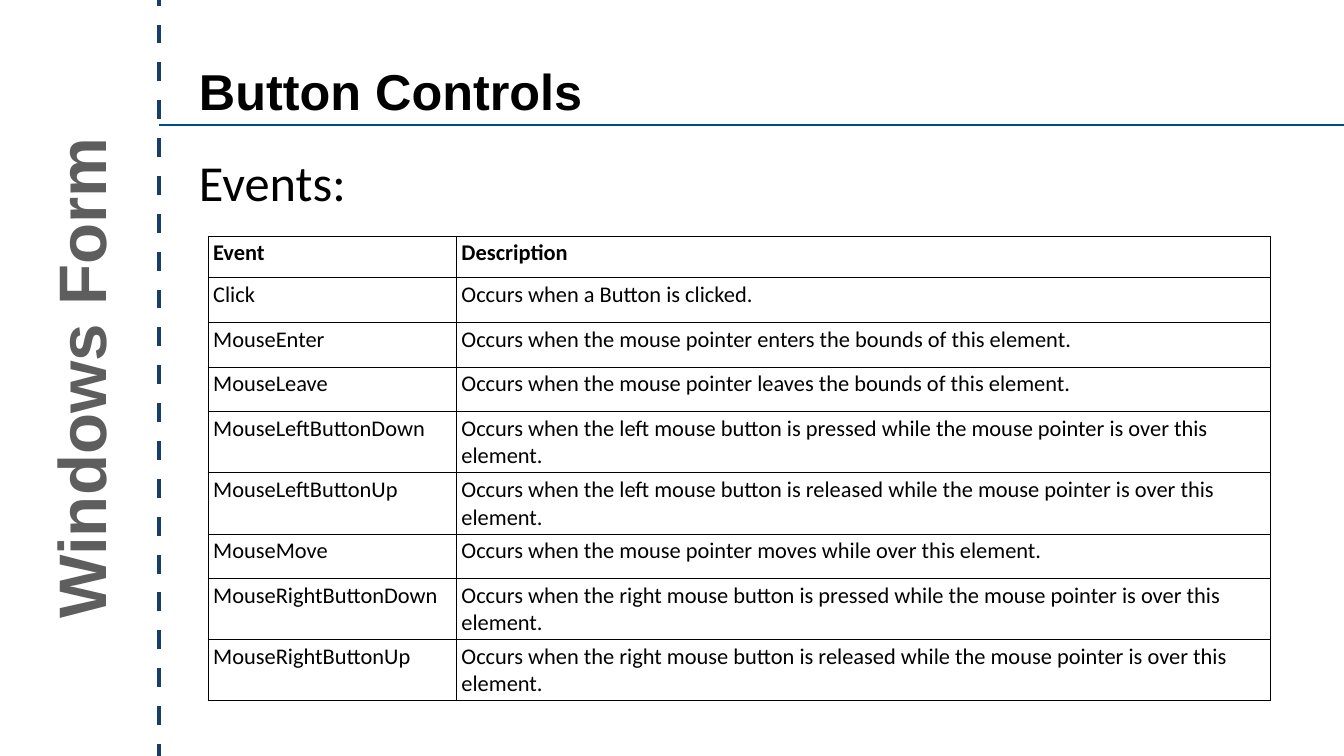
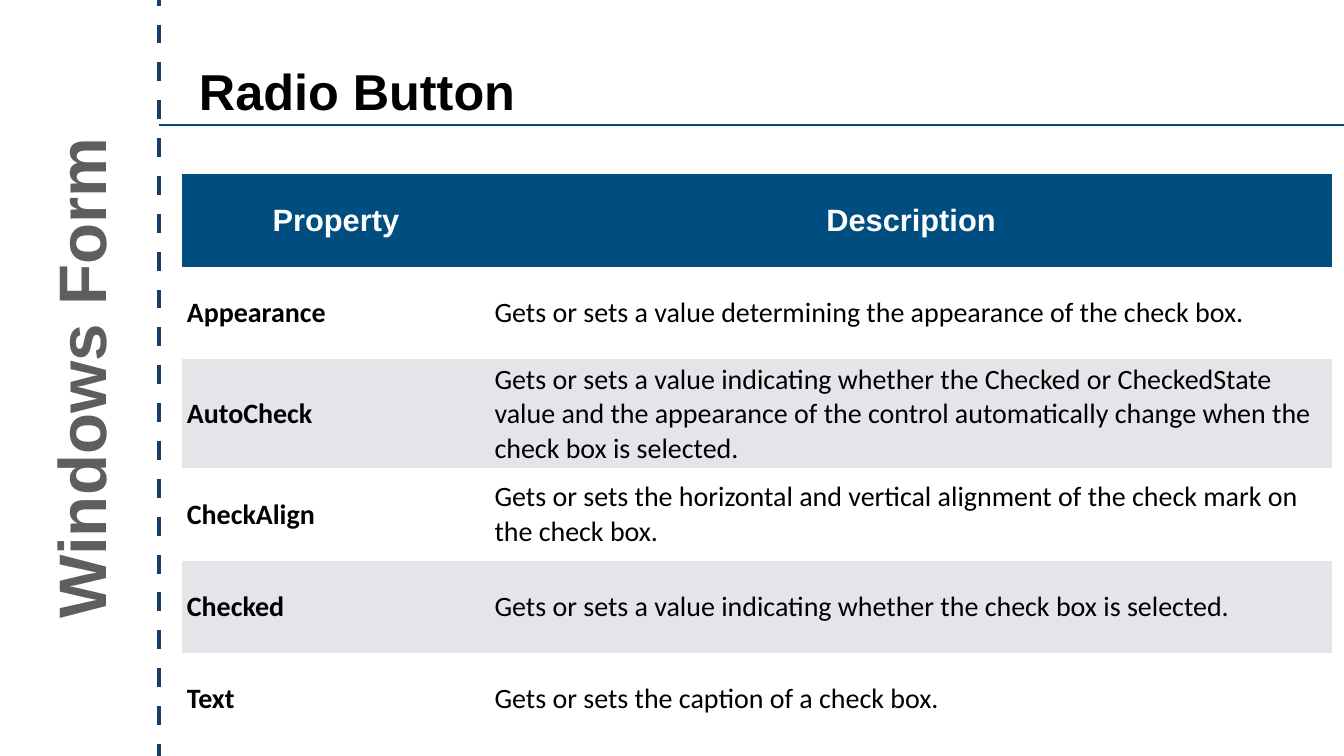
"""Build two slides on Windows Form controls, each with a title and a table."""
import pptx
import pptx.dml.color
import pptx.enum.shapes
import pptx.enum.text
import pptx.oxml
import pptx.oxml.ns
import pptx.util

ANCHOR = pptx.enum.text.MSO_ANCHOR
ALIGN = pptx.enum.text.PP_ALIGN

EMU_PER_PX = 9525
SLIDE_SIZE = (2560, 1440)
NAVY, BLUE, GRAY, BLACK, WHITE, PALE = "183E67", "004D80", "5E5E5E", "000000", "FFFFFF", "E3E5E8"
NO_STYLE = "{2D5ABB26-0587-4C30-8999-92F81FD0307C}"
DRAWING = pptx.oxml.ns.nsdecls("a")

SIDE_TEXT = "Windows Form"
SIDE_BOX = (-319, 635, 941, 170)
DIVIDER_X, RULE_Y, OVERHANG = 303, 238, 13
HEADING_LEFT, HEADING_HEIGHT = 369, 126
TITLE_TOP, SUBTITLE_TOP = 109, 283

SIDE_FONT = {"name": "Arial", "size": 96, "bold": True, "color": GRAY}
TITLE_FONT = {"name": "Arial", "size": 72, "bold": True, "color": BLACK}
SUBTITLE_FONT = {"name": "Calibri", "size": 72, "bold": False, "color": BLACK}
EVENT_FONT = {"name": "Calibri", "size": 32, "bold": False, "color": BLACK}
PROPERTY_FONT = {"name": "Calibri", "size": 40, "bold": False, "color": BLACK}
PROPERTY_HEADER_FONT = {"name": "Arial", "size": 44, "bold": True, "color": WHITE}

DEFAULT_INSETS = (10, 5, 10, 5)

EVENTS = [
    ("Event", "Description"),
    ("Click", "Occurs when a Button is clicked."),
    ("MouseEnter", "Occurs when the mouse pointer enters the bounds of this element."),
    ("MouseLeave", "Occurs when the mouse pointer leaves the bounds of this element."),
    ("MouseLeftButtonDown", "Occurs when the left mouse button is pressed while the mouse pointer is over this element."),
    ("MouseLeftButtonUp", "Occurs when the left mouse button is released while the mouse pointer is over this element."),
    ("MouseMove", "Occurs when the mouse pointer moves while over this element."),
    ("MouseRightButtonDown", "Occurs when the right mouse button is pressed while the mouse pointer is over this element."),
    ("MouseRightButtonUp", "Occurs when the right mouse button is released while the mouse pointer is over this element."),
]
PROPERTIES = [
    ("Property", "Description"),
    ("Appearance", "Gets or sets a value determining the appearance of the check box."),
    ("AutoCheck", "Gets or sets a value indicating whether the Checked or CheckedState value and the appearance "
                  "of the control automatically change when the check box is selected."),
    ("CheckAlign", "Gets or sets the horizontal and vertical alignment of the check mark on the check box."),
    ("Checked", "Gets or sets a value indicating whether the check box is selected."),
    ("Text", "Gets or sets the caption of a check box."),
]

EVENT_TABLE = {
    "rows": EVENTS, "at": (396, 451), "columns": (473, 1551), "heights": (78, 85),
    "header_font": EVENT_FONT | {"bold": True}, "body_fonts": (EVENT_FONT, EVENT_FONT),
    "header_align": ALIGN.LEFT, "anchor": ANCHOR.TOP,
    "insets": ((10, 7, 14, 7), (10, 7, 10, 7)), "fills": None, "border": BLACK,
}
PROPERTY_TABLE = {
    "rows": PROPERTIES, "at": (346, 332), "columns": (588, 1603), "heights": (176, 176),
    "header_font": PROPERTY_HEADER_FONT, "body_fonts": (PROPERTY_FONT | {"bold": True}, PROPERTY_FONT),
    "header_align": ALIGN.CENTER, "anchor": ANCHOR.MIDDLE,
    "insets": (DEFAULT_INSETS, (8, 8, 8, 8)), "fills": (BLUE, WHITE, PALE), "border": None,
}
SLIDES = [
    {"title": "Button Controls", "title_width": 757, "subtitle": ("Events:", 306), "table": EVENT_TABLE},
    {"title": "Radio Button", "title_width": 628, "subtitle": None, "table": PROPERTY_TABLE},
]


def px(length):
    return pptx.util.Emu(length * EMU_PER_PX)


def rgb(value):
    return pptx.dml.color.RGBColor.from_string(value)


def set_attributes(target, values):
    for name, value in values.items():
        setattr(target, name, value)


def write_text(frame, text, font, align=ALIGN.LEFT):
    paragraph = frame.paragraphs[0]
    paragraph.alignment = align
    run = paragraph.add_run()
    run.text = text
    set_attributes(run.font, {"name": font["name"], "size": pptx.util.Pt(font["size"]), "bold": font["bold"]})
    run.font.color.rgb = rgb(font["color"])


def set_insets(target, insets):
    sides = ("margin_left", "margin_top", "margin_right", "margin_bottom")
    set_attributes(target, dict(zip(sides, map(px, insets))))


def fill_box(shape, box, text, font, align=ALIGN.LEFT, anchor=ANCHOR.TOP, insets=DEFAULT_INSETS):
    set_attributes(shape, dict(zip(("left", "top", "width", "height"), map(px, box))))
    frame = shape.text_frame
    set_attributes(frame, {"word_wrap": False, "vertical_anchor": anchor,
                           "auto_size": pptx.enum.text.MSO_AUTO_SIZE.SHAPE_TO_FIT_TEXT})
    set_insets(frame, insets)
    write_text(frame, text, font, align)


def add_text(slide, box, *args, **options):
    shape = slide.shapes.add_textbox(*map(px, box))
    fill_box(shape, box, *args, **options)
    return shape


def add_line(slide, start, end, color, width, dashed=False):
    straight = pptx.enum.shapes.MSO_CONNECTOR.STRAIGHT
    connector = slide.shapes.add_connector(straight, *map(px, start + end))
    connector.line.color.rgb = rgb(color)
    connector.line.width = pptx.util.Pt(width)
    if dashed:
        dash = f'<a:custDash {DRAWING}><a:ds d="600000" sp="600000"/></a:custDash>'
        connector.line._get_or_add_ln().append(pptx.oxml.parse_xml(dash))
    connector._element.spPr.append(pptx.oxml.parse_xml(f"<a:effectLst {DRAWING}/>"))


def add_borders(cell, color):
    properties = cell._tc.get_or_add_tcPr()
    for side in "LRTB":
        properties.append(pptx.oxml.parse_xml(
            f'<a:ln{side} {DRAWING} w="12700"><a:solidFill><a:srgbClr val="{color}"/></a:solidFill></a:ln{side}>'))


def format_cell(cell, row, column, text, design):
    header = row == 0
    cell.vertical_anchor = design["anchor"]
    set_insets(cell, DEFAULT_INSETS if header else design["insets"][column])
    if design["border"]:
        add_borders(cell, design["border"])
    if design["fills"]:
        header_fill, odd_fill, even_fill = design["fills"]
        cell.fill.solid()
        cell.fill.fore_color.rgb = rgb(header_fill if header else odd_fill if row % 2 else even_fill)
    else:
        cell.fill.background()
    font = design["header_font"] if header else design["body_fonts"][column]
    write_text(cell.text_frame, text, font, design["header_align"] if header else ALIGN.LEFT)


def add_table(slide, design):
    rows, columns = design["rows"], design["columns"]
    header_height, body_height = design["heights"]
    size = (sum(columns), header_height + body_height * (len(rows) - 1))
    table = slide.shapes.add_table(len(rows), len(columns), *map(px, design["at"] + size)).table
    set_attributes(table, {"first_row": False, "horz_banding": False})
    table._tbl.tblPr.find(pptx.oxml.ns.qn("a:tableStyleId")).text = NO_STYLE
    for column, width in zip(table.columns, columns):
        column.width = px(width)
    for row, texts in enumerate(rows):
        table.rows[row].height = px(body_height if row else header_height)
        for column, text in enumerate(texts):
            format_cell(table.cell(row, column), row, column, text, design)


def add_frame(slide):
    width, height = SLIDE_SIZE
    add_line(slide, (DIVIDER_X, height + OVERHANG), (DIVIDER_X, -OVERHANG), NAVY, 4.5, dashed=True)
    add_line(slide, (DIVIDER_X, RULE_Y), (width, RULE_Y), BLUE, 2)
    side = add_text(slide, SIDE_BOX, SIDE_TEXT, SIDE_FONT, ALIGN.CENTER, ANCHOR.MIDDLE, (8, 8, 8, 8))
    side.rotation = 270


def build_slide(presentation, content):
    slide = presentation.slides.add_slide(presentation.slide_layouts[5])
    add_frame(slide)
    title_box = (HEADING_LEFT, TITLE_TOP, content["title_width"], HEADING_HEIGHT)
    fill_box(slide.shapes.title, title_box, content["title"], TITLE_FONT)
    if content["subtitle"]:
        text, width = content["subtitle"]
        add_text(slide, (HEADING_LEFT, SUBTITLE_TOP, width, HEADING_HEIGHT), text, SUBTITLE_FONT)
    add_table(slide, content["table"])


def main():
    presentation = pptx.Presentation()
    presentation.slide_width, presentation.slide_height = map(px, SLIDE_SIZE)
    for content in SLIDES:
        build_slide(presentation, content)
    presentation.save("out.pptx")


if __name__ == "__main__":
    main()
